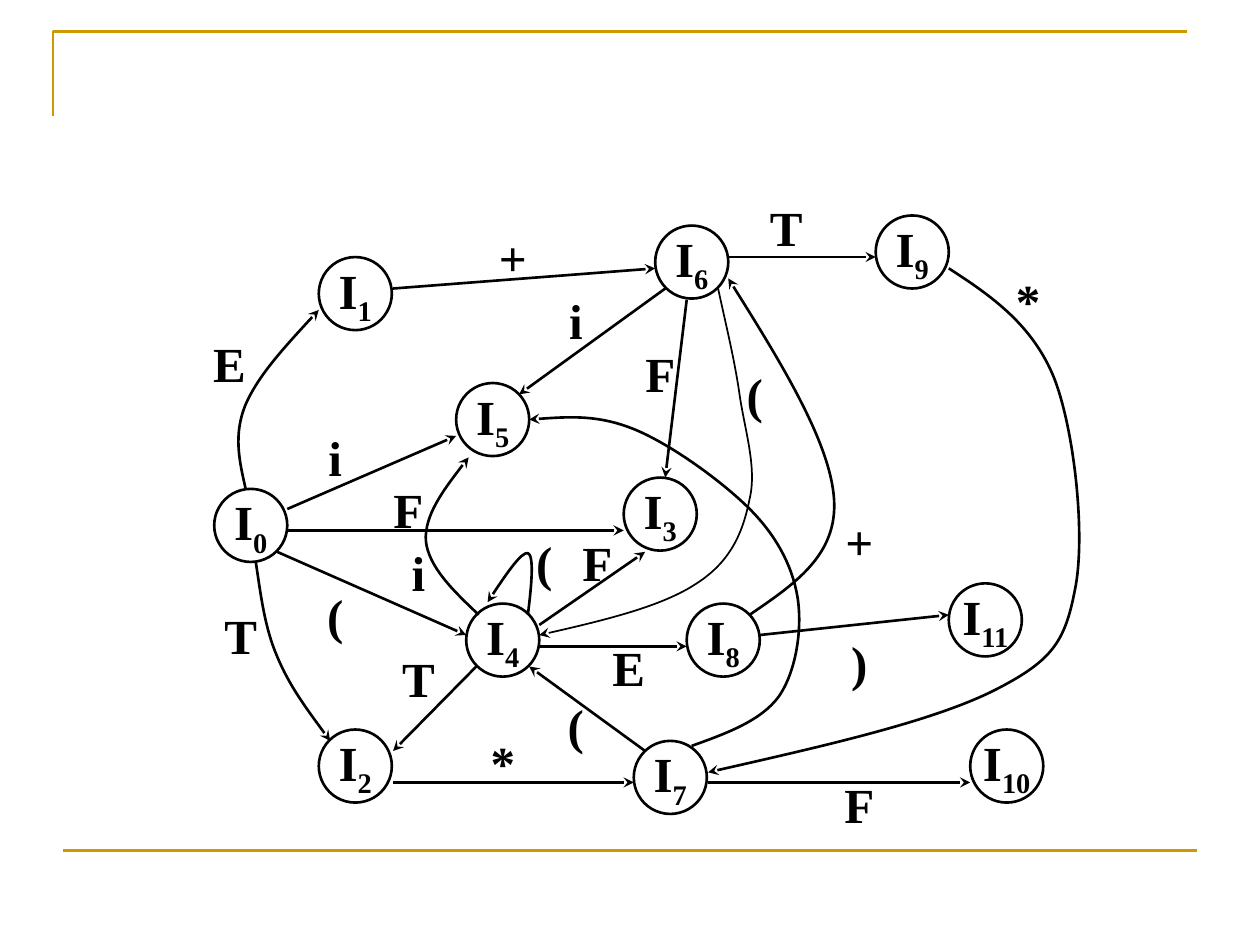
from typing import NamedTuple

from lxml import etree
from pptx import Presentation
from pptx.dml.color import RGBColor
from pptx.enum.shapes import MSO_CONNECTOR, MSO_SHAPE
from pptx.enum.text import MSO_ANCHOR, PP_ALIGN
from pptx.oxml.ns import qn
from pptx.util import Pt

STRAIGHT = MSO_CONNECTOR.STRAIGHT
OVAL = MSO_SHAPE.OVAL
MIDDLE = MSO_ANCHOR.MIDDLE
CENTER = PP_ALIGN.CENTER

PX = 9144  # EMU per px, 100 px to the inch
STATE_SIZE = 58
LABEL_WIDTH = 58
FONT = "Times New Roman"
COLORS = {"ink": "000000", "frame": "CC9900"}


class State(NamedTuple):
    number: int
    left: int
    top: int


class Edge(NamedTuple):
    """Two points make a straight arrow; more are a start and Bezier triplets."""
    points: list[tuple[int, int]]
    weight: float = 1.5


class Label(NamedTuple):
    text: str
    left: int
    top: int
    height: int = 50


STATES = [
    State(0, 170, 388), State(1, 253, 204), State(2, 253, 579),
    State(3, 495, 379), State(4, 370, 479), State(5, 362, 304),
    State(6, 520, 179), State(7, 503, 588), State(8, 545, 479),
    State(9, 695, 171), State(10, 770, 579), State(11, 753, 463),
]

EDGES = [
    # from I0
    Edge([(195, 388), (190, 366), (185, 345), (195, 321),
          (205, 298), (229, 272), (253, 246)]),
    Edge([(203, 446), (207, 472), (210, 498), (220, 521),
          (230, 545), (246, 566), (262, 588)]),
    Edge([(228, 404), (362, 346)]),
    Edge([(228, 421), (495, 421)]),
    Edge([(220, 438), (370, 504)]),
    # from I1 and I2
    Edge([(312, 229), (520, 213)]),
    Edge([(312, 621), (503, 621)]),
    # from I4
    Edge([(378, 529), (312, 596)]),
    Edge([(380, 488), (360, 469), (340, 450), (338, 429),
          (337, 409), (354, 386), (372, 363)]),
    Edge([(419, 488), (422, 464), (424, 441), (419, 439),
          (414, 438), (400, 458), (387, 478)]),
    Edge([(428, 496), (512, 438)]),
    Edge([(428, 513), (545, 513)]),
    # from I6
    Edge([(578, 204), (695, 204)]),
    Edge([(528, 229), (412, 313)]),
    Edge([(545, 238), (528, 379)]),
    Edge([(570, 229), (576, 257), (583, 285), (587, 313),
          (591, 341), (601, 371), (595, 396),
          (590, 421), (581, 445), (553, 463),
          (526, 481), (477, 493), (428, 504)], weight=1),
    # from I7
    Edge([(512, 596), (420, 529)]),
    Edge([(562, 621), (770, 621)]),
    Edge([(549, 592), (577, 582), (604, 572), (618, 553),
          (632, 533), (637, 499), (633, 474),
          (629, 450), (617, 426), (595, 404),
          (573, 382), (533, 353), (504, 341),
          (475, 329), (447, 331), (420, 333)]),
    # from I8 and I9
    Edge([(603, 504), (753, 488)]),
    Edge([(595, 488), (630, 464), (665, 441), (662, 396),
          (659, 352), (619, 286), (578, 221)]),
    Edge([(753, 213), (787, 235), (820, 258), (837, 301),
          (853, 343), (862, 427), (853, 469),
          (845, 510), (835, 525), (787, 549),
          (738, 573), (650, 593), (562, 613)]),
]

LABELS = [
    Label("E", 153, 263), Label("+", 378, 179), Label("T", 595, 155),
    Label("*", 787, 213), Label("T", 162, 479), Label("T", 303, 513),
    Label("i", 237, 338), Label("F", 295, 379), Label("(", 237, 463),
    Label("i", 303, 429), Label("(", 403, 421), Label("F", 445, 421),
    Label("E", 470, 504), Label("(", 570, 288), Label("F", 495, 271),
    Label("i", 428, 229), Label("+", 653, 404), Label("F", 653, 613),
    Label("*", 370, 588, 33), Label("(", 428, 554, 42), Label(")", 653, 504, 42),
]


def px(*lengths: int) -> list[int]:
    return [length * PX for length in lengths]


def write(shape, text: str, subscript: str = "", size: int = 28,
          color: str = "ink", bold: bool = True) -> None:
    tf = shape.text_frame
    tf.word_wrap = False
    tf.vertical_anchor = MIDDLE
    p = tf.paragraphs[0]
    p.alignment = CENTER
    for part in filter(None, (text, subscript)):
        r = p.add_run()
        r.text = part
        r.font.name = FONT
        r.font.size = Pt(size)
        r.font.bold = bold
        r.font.color.rgb = RGBColor.from_string(COLORS[color])
    if subscript:
        r._r.get_or_add_rPr().set("baseline", "-25000")


def style_line(shape, color: str = "ink", weight: float = 1.5, arrow: bool = False) -> None:
    shape.line.color.rgb = RGBColor.from_string(COLORS[color])
    shape.line.width = Pt(weight)
    if arrow:
        etree.SubElement(shape.line._get_or_add_ln(), qn("a:tailEnd"), type="stealth")


def add_straight(shapes, start: tuple[int, int], end: tuple[int, int]):
    line = shapes.add_connector(STRAIGHT, *px(*start, *end))
    etree.SubElement(line._element.spPr, qn("a:effectLst"))
    return line


def add_open_path(shapes, points: list[tuple[int, int]]):
    builder = shapes.build_freeform(*points[0], scale=PX)
    builder.add_line_segments(points[1:], close=False)
    sp = builder.convert_to_shape()
    sp.shadow.inherit = False
    sp.fill.background()
    return sp


def add_curve(shapes, points: list[tuple[int, int]]):
    """Turn each three line segments of an open path into one cubic Bezier."""
    sp = add_open_path(shapes, points)
    segments = list(sp._element.iter(qn("a:lnTo")))
    for i in range(0, len(segments), 3):
        first, *others = segments[i:i + 3]
        first.tag = qn("a:cubicBezTo")
        for segment in others:
            first.append(segment[0])
            segment.getparent().remove(segment)
    return sp


def add_edge(shapes, edge: Edge) -> None:
    if len(edge.points) == 2:
        shape = add_straight(shapes, *edge.points)
    else:
        shape = add_curve(shapes, edge.points)
    style_line(shape, weight=edge.weight, arrow=True)


def add_state(shapes, state: State) -> None:
    sp = shapes.add_shape(OVAL, *px(state.left, state.top, STATE_SIZE, STATE_SIZE))
    sp.shadow.inherit = False
    sp.fill.background()
    style_line(sp)
    write(sp, "I", subscript=str(state.number))


def add_label(shapes, label: Label) -> None:
    box = shapes.add_textbox(*px(label.left, label.top, LABEL_WIDTH, label.height))
    write(box, label.text)


def main() -> None:
    prs = Presentation()
    prs.slide_width, prs.slide_height = px(1000, 750)
    s = prs.slides.add_slide(prs.slide_layouts[6])

    style_line(add_open_path(s.shapes, [(42, 92), (42, 25), (942, 25)]), color="frame")
    style_line(add_straight(s.shapes, (50, 675), (950, 675)), color="frame")

    diagram = s.shapes.add_group_shape().shapes
    for state in STATES:
        add_state(diagram, state)
    for edge in EDGES:
        add_edge(diagram, edge)
    for label in LABELS:
        add_label(diagram, label)

    prs.save("out.pptx")


if __name__ == "__main__":
    main()
